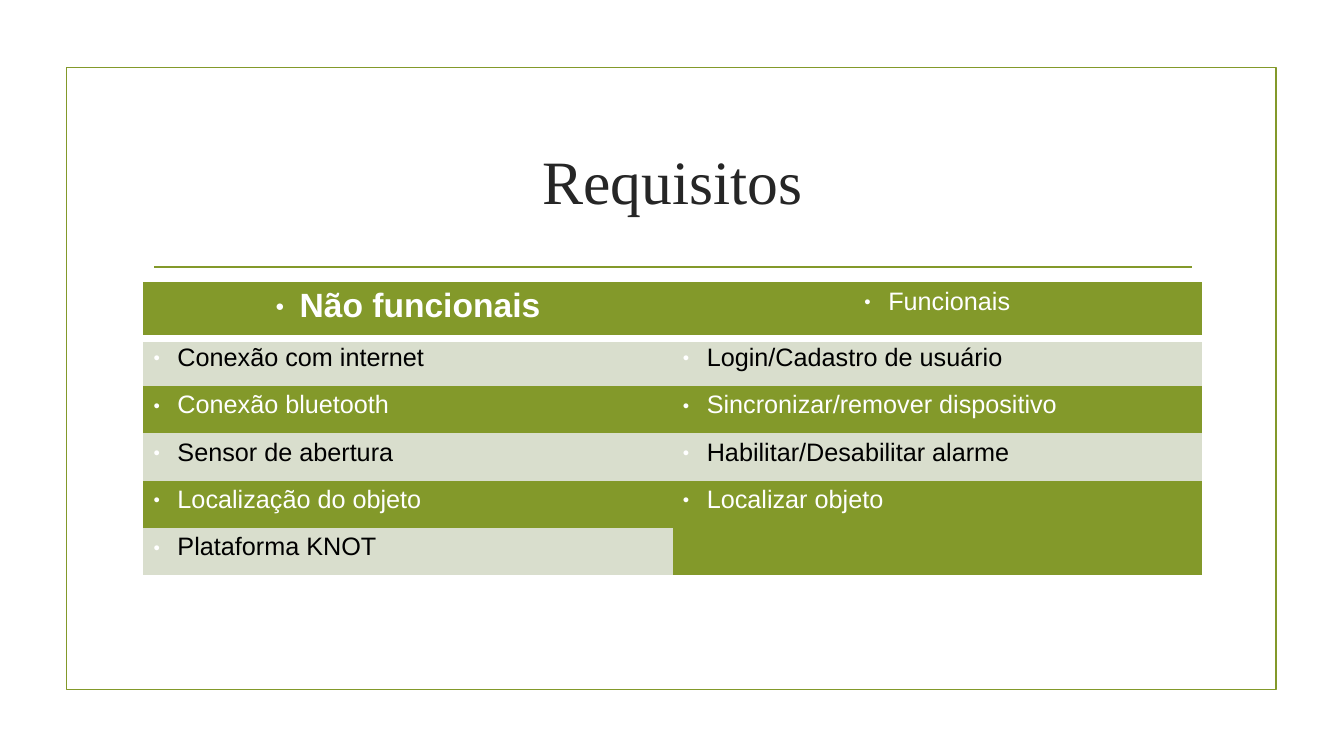
from lxml import etree
from pptx import Presentation
from pptx.dml.color import RGBColor
from pptx.enum.shapes import MSO_CONNECTOR as Connector, MSO_SHAPE as Shape
from pptx.enum.text import MSO_ANCHOR as Anchor, PP_ALIGN as Align
from pptx.oxml import parse_xml
from pptx.oxml.ns import nsdecls, qn
from pptx.util import Inches, Pt

GREEN = RGBColor(0x83, 0x99, 0x2A)
PALE = RGBColor(0xD9, 0xDE, 0xCD)
WHITE = RGBColor(0xFF, 0xFF, 0xFF)
BLACK = RGBColor(0x00, 0x00, 0x00)
DARK = RGBColor(0x26, 0x26, 0x26)

PLAIN_TABLE_STYLE = "{2D5ABB26-0587-4C30-8999-92F81FD0307C}"
HEADER_HEIGHT, ROW_HEIGHT = 0.56, 0.47
BULLET_INDENT = Inches(0.24)

REQUIREMENTS = [
    ("Não funcionais", "Funcionais"),
    ("Conexão com internet", "Login/Cadastro de usuário"),
    ("Conexão bluetooth", "Sincronizar/remover dispositivo"),
    ("Sensor de abertura", "Habilitar/Desabilitar alarme"),
    ("Localização do objeto", "Localizar objeto"),
    ("Plataforma KNOT", None),
]


def set_font(font, color, **values):
    for name, value in values.items():
        setattr(font, name, value)
    font.color.rgb = color


def add_frame(slide, left, top, width, height):
    """Thin green border and the rule below the title."""
    border = slide.shapes.add_shape(
        Shape.RECTANGLE, Inches(left), Inches(top), Inches(width), Inches(height))
    border.shadow.inherit = False
    border.fill.background()

    rule_top = Inches(top + 1.98)
    rule = slide.shapes.add_connector(
        Connector.STRAIGHT, Inches(left + 0.87), rule_top,
        Inches(left + width - 0.84), rule_top)
    etree.SubElement(rule._element.spPr, qn("a:effectLst"))

    for shape in (border, rule):
        shape.line.color.rgb = GREEN
        shape.line.width = Pt(1.25)


def add_title(slide, text, left, top, width, height):
    box = slide.shapes.add_textbox(
        Inches(left), Inches(top), Inches(width), Inches(height))
    frame = box.text_frame
    frame.word_wrap = True
    frame.vertical_anchor = Anchor.MIDDLE
    paragraph = frame.paragraphs[0]
    paragraph.text = text
    paragraph.alignment = Align.CENTER
    set_font(paragraph.runs[0].font, DARK, name="Times New Roman", size=Pt(44))


def add_bullet(paragraph):
    properties = paragraph._p.get_or_add_pPr()
    properties.set("marL", str(BULLET_INDENT))
    properties.set("indent", str(-BULLET_INDENT))
    for xml in (
        f'<a:buClr {nsdecls("a")}><a:srgbClr val="{WHITE}"/></a:buClr>',
        f'<a:buSzPct {nsdecls("a")} val="45000"/>',
        f'<a:buFont {nsdecls("a")} typeface="Arial"/>',
        f'<a:buChar {nsdecls("a")} char="●"/>',
    ):
        properties.append(parse_xml(xml))


def add_bottom_border(cell, color, width):
    cell._tc.get_or_add_tcPr().insert(0, parse_xml(
        f'<a:lnB {nsdecls("a")} w="{width}"><a:solidFill>'
        f'<a:srgbClr val="{color}"/></a:solidFill></a:lnB>'))


def fill_cell(cell, text, row, column):
    is_header = row == 0
    is_pale = row % 2 == 1 and text is not None
    cell.fill.solid()
    cell.fill.fore_color.rgb = PALE if is_pale else GREEN
    if is_header:
        add_bottom_border(cell, WHITE, Pt(6))
    if text is None:
        return

    is_main_heading = is_header and column == 0
    paragraph = cell.text_frame.paragraphs[0]
    add_bullet(paragraph)
    paragraph.text = text
    paragraph.alignment = Align.CENTER if is_header else Align.LEFT
    set_font(paragraph.runs[0].font, BLACK if is_pale else WHITE, name="Arial",
             size=Pt(24 if is_main_heading else 18), bold=is_main_heading)


def add_requirements_table(slide, left, top, width):
    row_count, column_count = len(REQUIREMENTS), len(REQUIREMENTS[0])
    height = HEADER_HEIGHT + ROW_HEIGHT * (row_count - 1)
    graphic = slide.shapes.add_table(
        row_count, column_count,
        Inches(left), Inches(top), Inches(width), Inches(height))
    table = graphic.table
    table._tbl.tblPr.find(qn("a:tableStyleId")).text = PLAIN_TABLE_STYLE
    table.first_row = table.horz_banding = False

    for row, texts in enumerate(REQUIREMENTS):
        table.rows[row].height = Inches(ROW_HEIGHT if row else HEADER_HEIGHT)
        for column, text in enumerate(texts):
            fill_cell(table.cell(row, column), text, row, column)

    # The last functional requirement spans two rows
    table.cell(row_count - 2, 1).merge(table.cell(row_count - 1, 1))


def main():
    presentation = Presentation()
    presentation.slide_width = Inches(13.33)
    presentation.slide_height = Inches(7.5)
    slide = presentation.slides.add_slide(presentation.slide_layouts[6])

    add_frame(slide, 0.66, 0.67, 12, 6.17)
    add_title(slide, "Requisitos", 1.42, 1.07, 10.5, 1.43)
    add_requirements_table(slide, 1.42, 2.8, 10.5)
    presentation.save("out.pptx")


if __name__ == "__main__":
    main()
